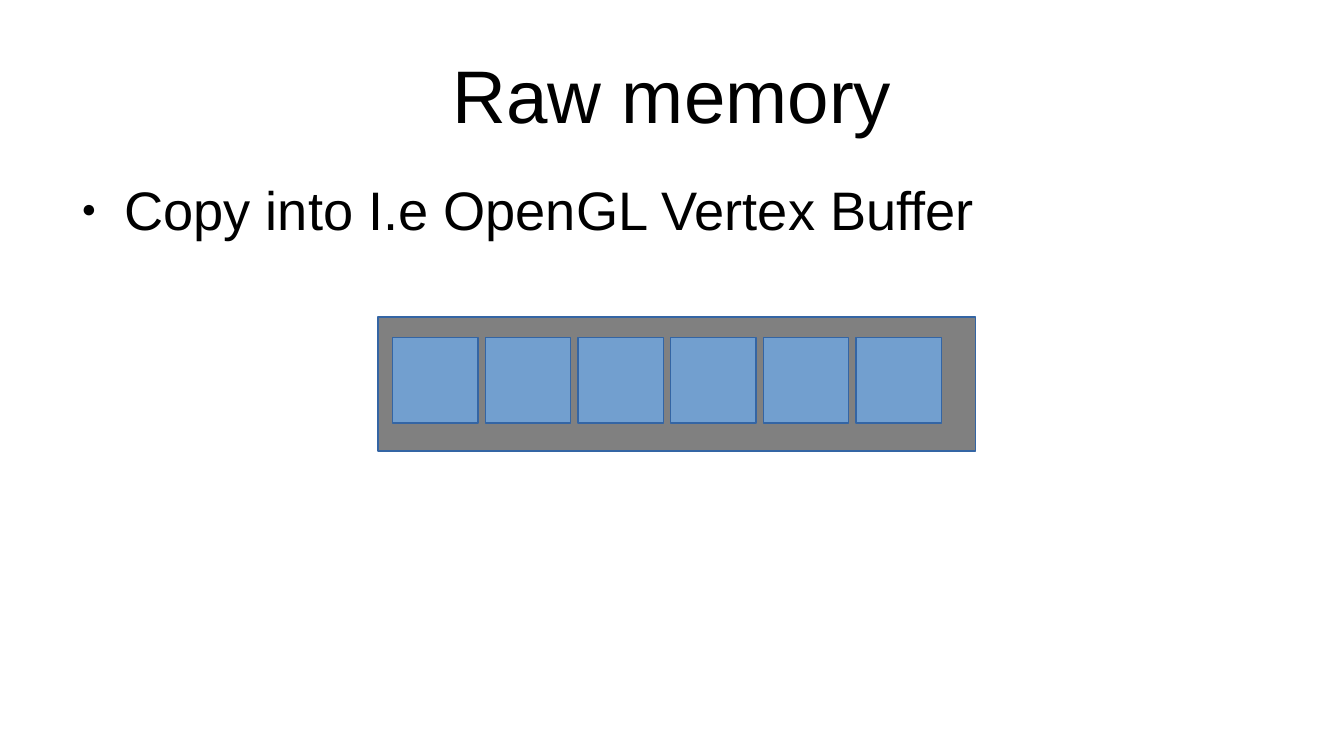
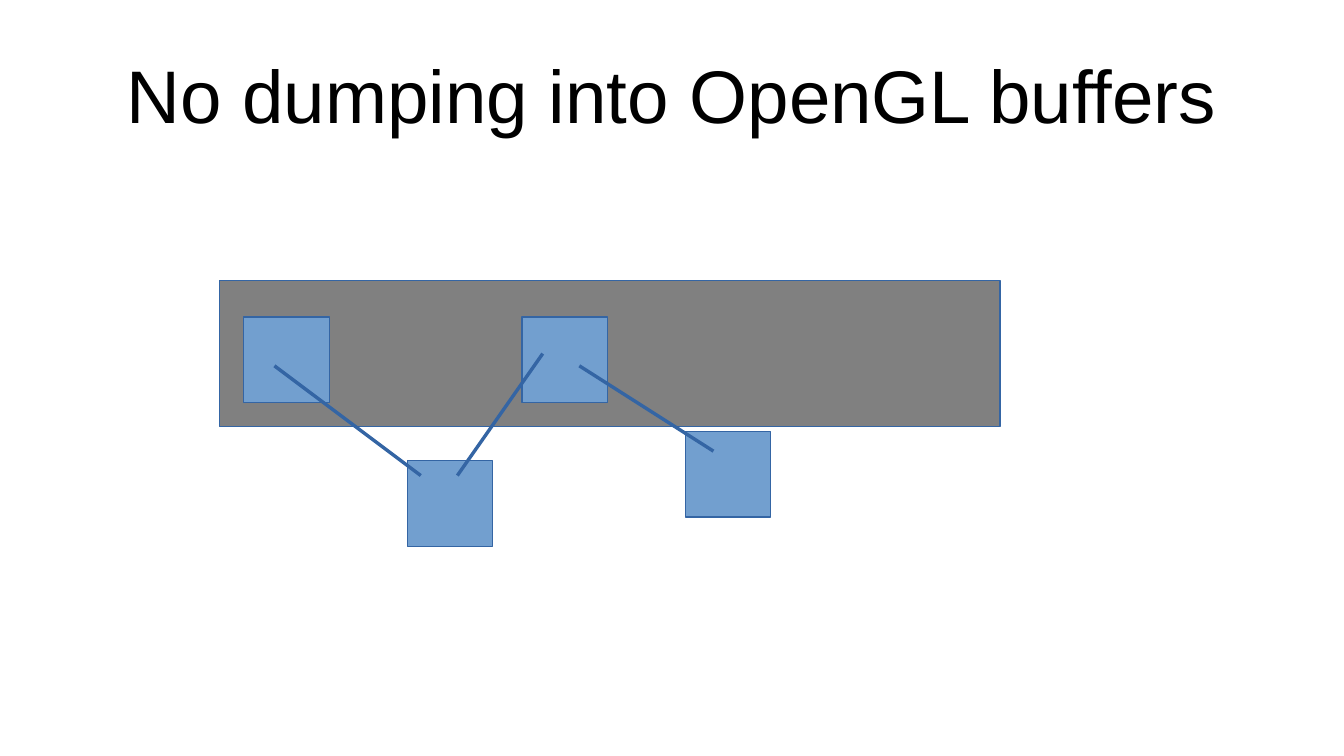
from dataclasses import dataclass

import pptx
import pptx.dml.color
import pptx.enum.shapes
import pptx.enum.text
import pptx.oxml.ns
import pptx.util
from lxml import etree

Inches = pptx.util.Inches
Pt = pptx.util.Pt
qn = pptx.oxml.ns.qn


@dataclass(frozen=True)
class Theme:
    font: str = "Arial"
    title_size: int = 44
    body_size: int = 32
    text: str = "000000"
    memory: str = "808080"
    item: str = "729FCF"
    outline: str = "3465A4"
    outline_width: int = 0
    item_side: float = 0.7
    margin: float = 0.55
    content_width: float = 9.92


THEME = Theme()


def color(value):
    return pptx.dml.color.RGBColor.from_string(value)


def write_text(frame, text, size, align, anchor):
    frame.word_wrap = True
    frame.auto_size = pptx.enum.text.MSO_AUTO_SIZE.NONE
    frame.vertical_anchor = anchor
    frame.margin_left = frame.margin_top = Inches(0)
    frame.margin_right = frame.margin_bottom = Inches(0)
    paragraph = frame.paragraphs[0]
    paragraph.alignment = align
    paragraph.space_before = Pt(0)
    run = paragraph.add_run()
    run.text = text
    run.font.name = THEME.font
    run.font.size = Pt(size)
    run.font.color.rgb = color(THEME.text)
    return paragraph


def add_bullet(paragraph, indent, hanging):
    properties = paragraph._p.get_or_add_pPr()
    properties.set("marL", str(Inches(indent)))
    properties.set("indent", str(-Inches(hanging)))
    bullet_color = etree.SubElement(properties, qn("a:buClr"))
    etree.SubElement(bullet_color, qn("a:srgbClr"), val=THEME.text)
    etree.SubElement(properties, qn("a:buSzPct"), val="45000")
    etree.SubElement(properties, qn("a:buFont"), typeface=THEME.font)
    etree.SubElement(properties, qn("a:buChar"), char="●")


class Deck:
    def __init__(self):
        self.presentation = pptx.Presentation()
        self.presentation.slide_width = Inches(11.02)
        self.presentation.slide_height = Inches(6.2)
        self.slide = None

    def add_slide(self, title):
        layout = self.presentation.slide_layouts.get_by_name("Title Only")
        self.slide = self.presentation.slides.add_slide(layout)
        shape = self.slide.shapes.title
        shape.left, shape.top = Inches(THEME.margin), Inches(0.25)
        shape.width, shape.height = Inches(THEME.content_width), Inches(1.04)
        write_text(shape.text_frame, title, size=THEME.title_size,
                   align=pptx.enum.text.PP_ALIGN.CENTER,
                   anchor=pptx.enum.text.MSO_ANCHOR.MIDDLE)

    def body(self, text):
        shape = self.slide.shapes.add_textbox(
            Inches(THEME.margin), Inches(1.45),
            Inches(THEME.content_width), Inches(3.6))
        paragraph = write_text(shape.text_frame, text, size=THEME.body_size,
                               align=pptx.enum.text.PP_ALIGN.LEFT,
                               anchor=pptx.enum.text.MSO_ANCHOR.TOP)
        add_bullet(paragraph, indent=0.47, hanging=0.35)

    def outline(self, shape):
        shape.line.color.rgb = color(THEME.outline)
        shape.line.width = Pt(THEME.outline_width)

    def rectangle(self, left, top, width, height, fill):
        shape = self.slide.shapes.add_shape(
            pptx.enum.shapes.MSO_SHAPE.RECTANGLE,
            Inches(left), Inches(top), Inches(width), Inches(height))
        shape.shadow.inherit = False
        shape.fill.solid()
        shape.fill.fore_color.rgb = color(fill)
        self.outline(shape)

    def memory(self, left, top, width, height):
        self.rectangle(left, top, width, height, THEME.memory)

    def item(self, left, top):
        self.rectangle(left, top, THEME.item_side, THEME.item_side, THEME.item)

    def link(self, start, end):
        connector = self.slide.shapes.add_connector(
            pptx.enum.shapes.MSO_CONNECTOR.STRAIGHT,
            *(Inches(length) for length in (*start, *end)))
        self.outline(connector)
        etree.SubElement(connector._element.spPr, qn("a:effectLst"))


def build_raw_memory(deck):
    deck.add_slide("Raw memory")
    deck.body("Copy into I.e OpenGL Vertex Buffer")
    deck.memory(3.1, 2.6, 4.9, 1.1)
    for index in range(6):
        deck.item(3.22 + index * 0.76, 2.77)


def build_linked_items(deck):
    deck.add_slide("No dumping into OpenGL buffers")
    deck.memory(1.8, 2.3, 6.4, 1.2)
    for left, top in ((2, 2.6), (3.34, 3.78), (4.28, 2.6), (5.62, 3.54)):
        deck.item(left, top)
    for start, end in (((2.25, 3), (3.45, 3.9)),
                       ((3.75, 3.9), (4.45, 2.9)),
                       ((4.75, 3), (5.85, 3.7))):
        deck.link(start, end)


def main():
    deck = Deck()
    build_raw_memory(deck)
    build_linked_items(deck)
    deck.presentation.save("out.pptx")


if __name__ == "__main__":
    main()
